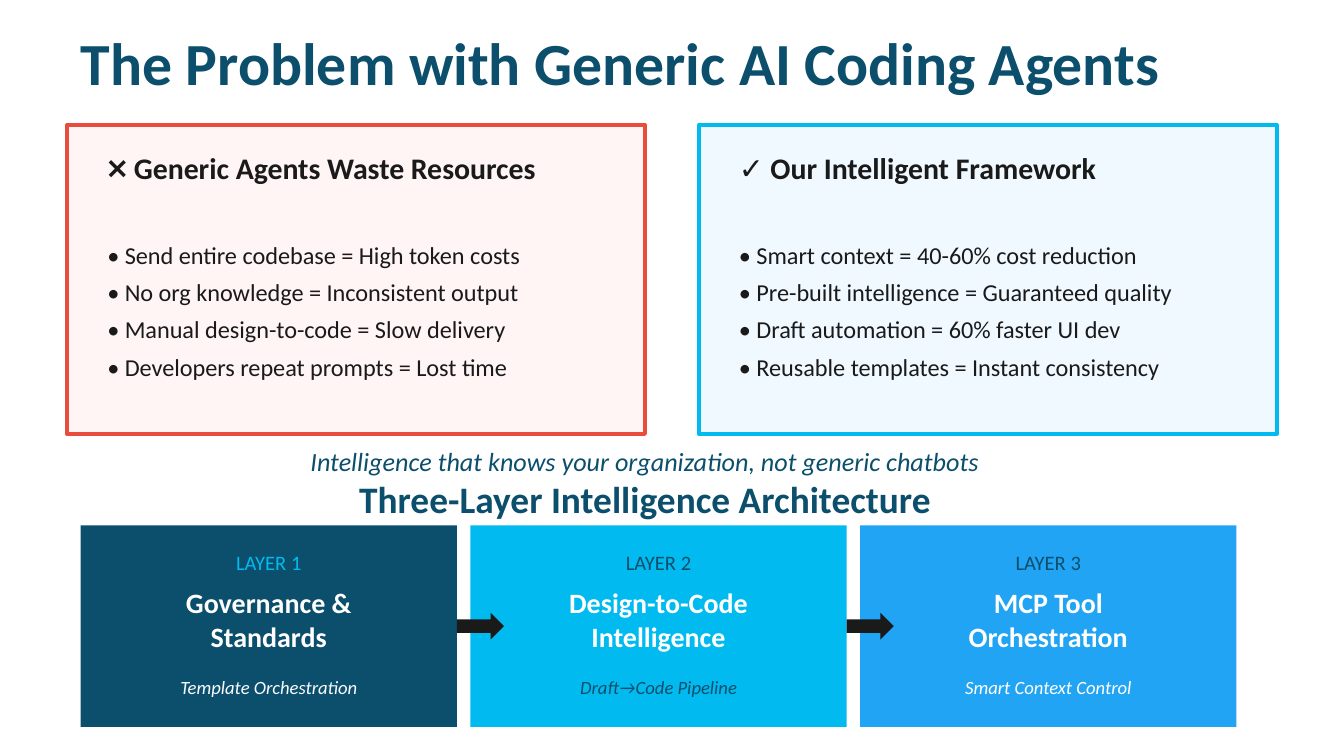
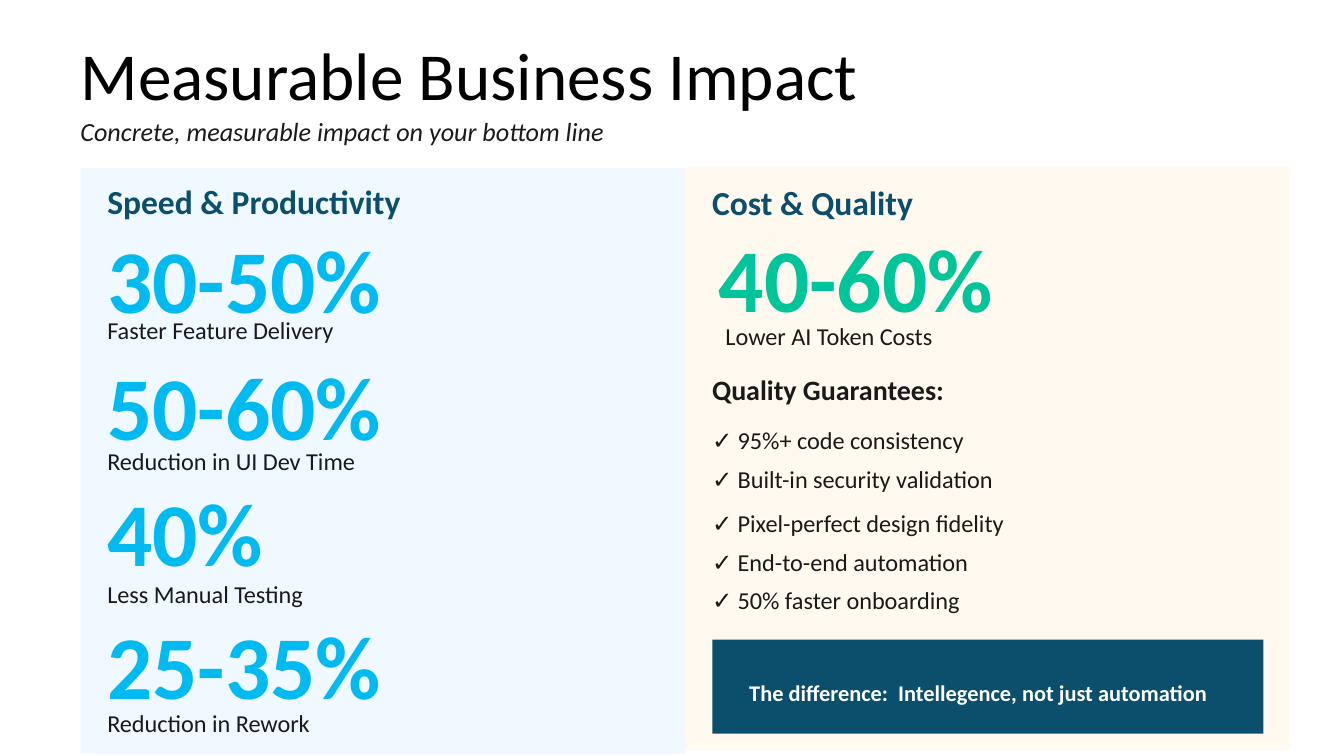
from pptx import Presentation
from pptx import util as u
from pptx.dml.color import RGBColor
from pptx.enum import shapes, text

PX = 9144  # 100 px to the inch
SLIDE_WIDTH = 1000
FONT = "Calibri"
COLORS = {
    "navy": "0B4F6C", "cyan": "01BAEF", "blue": "20A4F3", "green": "00C49A",
    "red": "E74C3C", "ink": "1A1A1A", "black": "000000", "white": "FFFFFF",
    "ghost": "FBFBFF", "pink": "FFF5F5", "ice": "F0F9FF", "cream": "FFF9F0",
}

COMPARISON = [
    ("❌ Generic Agents Waste Resources", "pink", "red", [
        "• Send entire codebase = High token costs",
        "• No org knowledge = Inconsistent output",
        "• Manual design-to-code = Slow delivery",
        "• Developers repeat prompts = Lost time",
    ]),
    ("✓ Our Intelligent Framework", "ice", "cyan", [
        "• Smart context = 40-60% cost reduction",
        "• Pre-built intelligence = Guaranteed quality",
        "• Draft automation = 60% faster UI dev",
        "• Reusable templates = Instant consistency",
    ]),
]
# name lines, note, fill, label colour, note colour
LAYERS = [
    (["Governance &", "Standards"], "Template Orchestration", "navy", "cyan", "ghost"),
    (["Design-to-Code", "Intelligence"], "Draft→Code Pipeline", "cyan", "navy", "navy"),
    (["MCP Tool", "Orchestration"], "Smart Context Control", "blue", "navy", "white"),
]
# figure, caption, figure top, caption top
SPEED_METRICS = [
    ("30-50%", "Faster Feature Delivery", 182, 233),
    ("50-60%", "Reduction in UI Dev Time", 276, 330),
    ("40%", "Less Manual Testing", 370, 429),
    ("25-35%", "Reduction in Rework", 469, 525),
]
GUARANTEES = [
    ("✓ 95%+ code consistency", 313),
    ("✓ Built-in security validation", 342),
    ("✓ Pixel-perfect design fidelity", 375),
    ("✓ End-to-end automation", 404),
    ("✓ 50% faster onboarding", 432),
]


def rgb(name):
    return RGBColor.from_string(COLORS[name])


def emu(*lengths):
    return [u.Emu(length * PX) for length in lengths]


def write(shape, lines, size, color, bold=False, italic=False, centered=False, spacing=None):
    """Fill a shape with one paragraph per line, all in one style."""
    frame = shape.text_frame
    frame.word_wrap = True
    frame.auto_size = text.MSO_AUTO_SIZE.NONE
    frame.vertical_anchor = text.MSO_ANCHOR.MIDDLE
    frame.text = "\n".join(lines)
    for paragraph in frame.paragraphs:
        paragraph.alignment = text.PP_ALIGN.CENTER if centered else text.PP_ALIGN.LEFT
        if spacing:
            paragraph.line_spacing = u.Pt(spacing)
        font = paragraph.font
        font.name, font.size, font.color.rgb = FONT, u.Pt(size), rgb(color)
        font.bold, font.italic = bold, italic


def add_text(slide, box, lines, size, color, **style):
    lines = [lines] if isinstance(lines, str) else lines
    write(slide.shapes.add_textbox(*emu(*box)), lines, size, color, **style)


def add_block(slide, box, fill, line=None, kind=shapes.MSO_SHAPE.RECTANGLE):
    shape = slide.shapes.add_shape(kind, *emu(*box))
    shape.shadow.inherit = False
    shape.fill.solid()
    shape.fill.fore_color.rgb = rgb(fill)
    if line:
        shape.line.color.rgb = rgb(line)
        shape.line.width = u.Pt(2)
    else:
        shape.line.fill.background()


def add_titled_slide(presentation, title, top, size, color, bold=False):
    slide = presentation.slides.add_slide(presentation.slide_layouts[5])
    slide.background.fill.solid()
    slide.background.fill.fore_color.rgb = rgb("white")
    shape = slide.shapes.title
    shape.left, shape.top, shape.width, shape.height = emu(50, top, 900, 50)
    write(shape, [title], size, color, bold=bold)
    return slide


def add_metric(slide, left, figure, caption, figure_top, caption_top, color, indent=0):
    add_text(slide, (left, figure_top, 410, 50), figure, 48, color, bold=True)
    add_text(slide, (left + indent, caption_top, 410, 25), caption, 13, "ink")


def build_problem_slide(presentation):
    slide = add_titled_slide(presentation, "The Problem with Generic AI Coding Agents",
                             21, 32, "navy", bold=True)
    for index, (heading, fill, line, points) in enumerate(COMPARISON):
        left = 50 + 470 * index
        add_block(slide, (left, 93, 430, 230), fill, line)
        add_text(slide, (left + 20, 107, 390, 35), heading, 16, "ink", bold=True)
        add_text(slide, (left + 20, 148, 390, 160), points, 13, "ink", spacing=20)

    add_text(slide, (30, 351, 900, 40), "Three-Layer Intelligence Architecture",
             20, "navy", bold=True, centered=True)

    width, gap = 280, 10
    lefts = [60 + (width + gap) * index for index in range(len(LAYERS))]
    for number, (left, layer) in enumerate(zip(lefts, LAYERS), start=1):
        name, note, fill, label_color, note_color = layer
        add_block(slide, (left, 391, width, 150), fill)
        add_text(slide, (left, 406, width, 25), f"LAYER {number}", 11, label_color, centered=True)
        add_text(slide, (left, 436, width, 50), name, 15, "white", bold=True, centered=True)
        add_text(slide, (left, 496, width, 30), note, 10, note_color, italic=True, centered=True)
    for left in lefts[:-1]:
        add_block(slide, (left + width, 456, 35, 20), "ink", kind=shapes.MSO_SHAPE.RIGHT_ARROW)

    add_text(slide, (30, 328, 900, 30),
             "Intelligence that knows your organization, not generic chatbots",
             14, "navy", italic=True, centered=True)


def build_impact_slide(presentation):
    slide = add_titled_slide(presentation, "Measurable Business Impact", 30, 36, "black")
    add_text(slide, (50, 85, 900, 25), "Concrete, measurable impact on your bottom line",
             14, "ink", italic=True)

    add_block(slide, (60, 125, 450, 436), "ice")
    add_text(slide, (70, 132, 410, 35), "Speed & Productivity", 18, "navy", bold=True)
    for metric in SPEED_METRICS:
        add_metric(slide, 70, *metric, "cyan")

    add_block(slide, (510, 124, 450, 434), "cream")
    add_text(slide, (520, 133, 410, 35), "Cost & Quality", 18, "navy", bold=True)
    add_metric(slide, 525, "40-60%", "Lower AI Token Costs", 181, 237, "green", indent=5)
    add_text(slide, (520, 275, 410, 30), "Quality Guarantees:", 15, "ink", bold=True)
    for guarantee, top in GUARANTEES:
        add_text(slide, (520, top, 410, 28), guarantee, 13, "ink")

    add_block(slide, (530, 476, 410, 70), "navy")
    add_text(slide, (496, 485, 464, 60), "The difference:  Intellegence, not just automation",
             12, "white", bold=True, centered=True)


def main():
    presentation = Presentation()
    presentation.slide_width = u.Emu(SLIDE_WIDTH * PX)
    presentation.slide_height = u.Emu(SLIDE_WIDTH * PX * 9 // 16)
    build_problem_slide(presentation)
    build_impact_slide(presentation)
    presentation.save("out.pptx")


if __name__ == "__main__":
    main()
